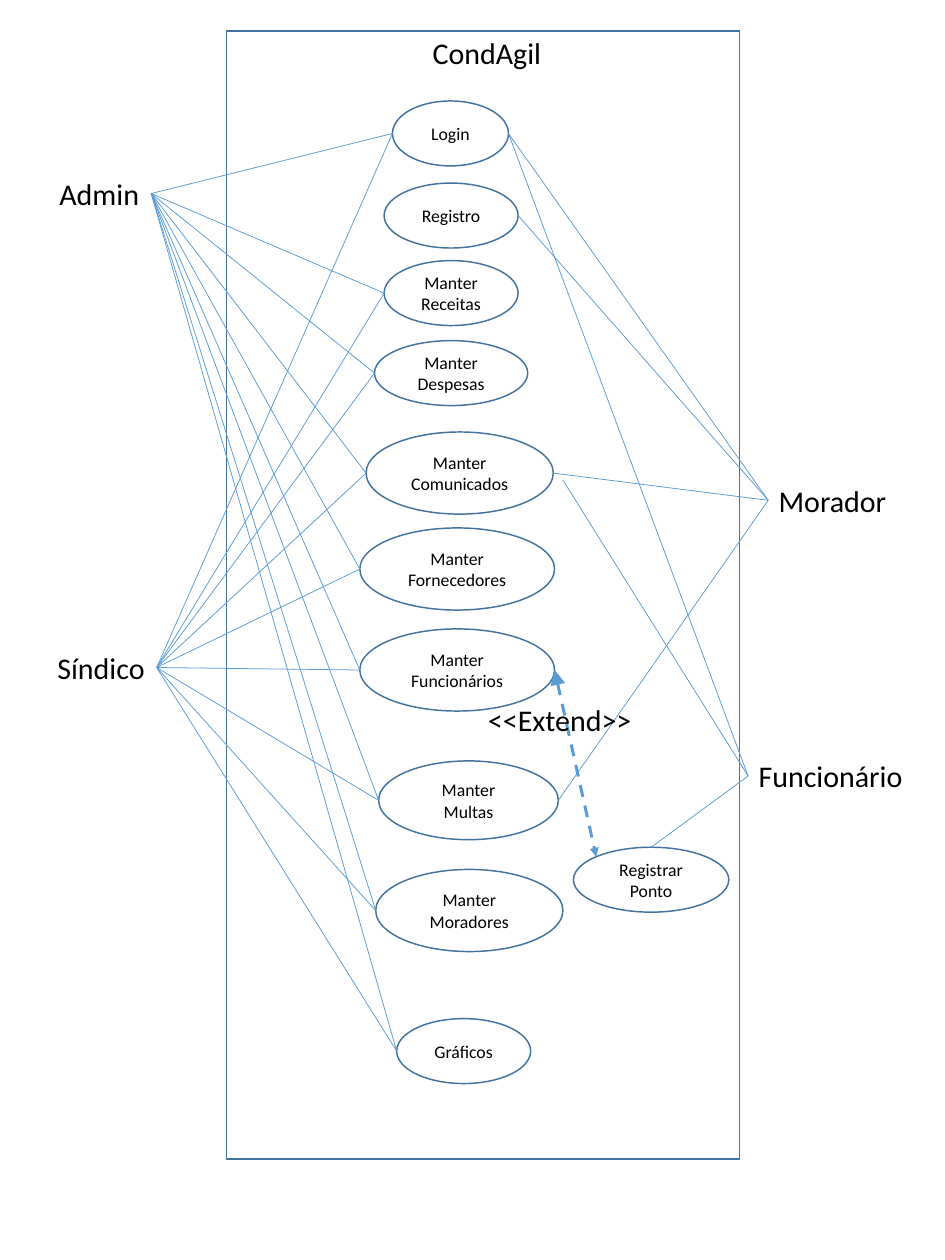
import math

import pptx
import pptx.dml.color
import pptx.enum.dml
import pptx.enum.shapes
import pptx.enum.text
import pptx.oxml.ns
import pptx.util
from lxml import etree

Cm, Pt = pptx.util.Cm, pptx.util.Pt
ALIGN = pptx.enum.text.PP_ALIGN
SHAPE = pptx.enum.shapes.MSO_SHAPE
qn = pptx.oxml.ns.qn


def rgb(value):
    return pptx.dml.color.RGBColor.from_string(value)


def edge(shape, x, y):
    """Point of a shape's box, as fractions of its width and height."""
    return int(shape.left + shape.width * x), int(shape.top + shape.height * y)


class UseCaseDiagram:
    font = "Calibri"
    ink = "000000"
    outline = "43739E"
    link = "5B9BD5"

    def __init__(self, slide):
        self.shapes = slide.shapes

    def style_text(self, frame, size, align):
        paragraph = frame.paragraphs[0]
        paragraph.alignment = align
        for run in paragraph.runs:
            run.font.name = self.font
            run.font.size = Pt(size)
            run.font.color.rgb = rgb(self.ink)

    def outlined(self, kind, left, top, width, height):
        shape = self.shapes.add_shape(kind, Cm(left), Cm(top), Cm(width), Cm(height))
        shape.shadow.inherit = False
        shape.fill.background()
        shape.line.color.rgb = rgb(self.outline)
        shape.line.width = Pt(1)
        return shape

    def use_case(self, text, left, top, width, height):
        oval = self.outlined(SHAPE.OVAL, left, top, width, height)
        frame = oval.text_frame
        frame.text = text
        frame.word_wrap = True
        frame.vertical_anchor = pptx.enum.text.MSO_ANCHOR.MIDDLE
        frame.margin_left = frame.margin_right = Cm(0.41)
        frame.margin_top = frame.margin_bottom = Cm(0.2)
        self.style_text(frame, 12, ALIGN.CENTER)
        return oval

    def label(self, text, left, top, width):
        box = self.shapes.add_textbox(Cm(left), Cm(top), Cm(width), Cm(1.12))
        frame = box.text_frame
        frame.text = text
        frame.word_wrap = False
        frame.auto_size = pptx.enum.text.MSO_AUTO_SIZE.SHAPE_TO_FIT_TEXT
        self.style_text(frame, 20.3, ALIGN.LEFT)
        return box

    def connect(self, start, end, width=0.5):
        line = self.shapes.add_connector(
            pptx.enum.shapes.MSO_CONNECTOR.STRAIGHT, *start, *end)
        line.line.color.rgb = rgb(self.link)
        line.line.width = Pt(width)
        etree.SubElement(line._element.spPr, qn("a:effectLst"))
        return line

    def extend_arrow(self, start, end):
        """Dashed double arrow with the larger head at the start."""
        arrow = self.connect(start, end, 2)
        arrow.line.dash_style = pptx.enum.dml.MSO_LINE.DASH
        ln = arrow._element.spPr.find(qn("a:ln"))
        for tag, size in (("a:headEnd", "lg"), ("a:tailEnd", "med")):
            etree.SubElement(ln, qn(tag), type="triangle", w=size, len=size)


USE_CASES = [
    ("Login", 9.37, 2.41, 2.77, 1.55),
    ("Registro", 9.17, 4.37, 3.2, 1.55),
    ("Manter Receitas", 9.17, 6.22, 3.2, 1.55),
    ("Manter Despesas", 8.94, 8.13, 3.66, 1.55),
    ("Manter Comunicados", 8.74, 10.31, 4.47, 1.96),
    ("Manter Fornecedores", 8.59, 12.6, 4.65, 1.96),
    ("Manter Funcionários", 8.59, 15.01, 4.65, 1.96),
    ("Manter Multas", 9.04, 18.16, 4.29, 1.88),
    ("Manter Moradores", 8.97, 20.75, 4.47, 1.96),
    ("Gráficos", 9.47, 24.31, 3.2, 1.55),
    ("Registrar Ponto", 13.69, 20.22, 3.71, 1.55),
]
MANAGERS = [("Admin", 1.17, 4.06, 2.44), ("Síndico", 1.12, 15.37, 2.62)]
MORADOR_CASES = ["Login", "Registro", "Manter Comunicados", "Manter Multas"]


def main():
    prs = pptx.Presentation()
    prs.slide_width, prs.slide_height = Cm(22.56), Cm(30.07)
    diagram = UseCaseDiagram(prs.slides.add_slide(prs.slide_layouts[6]))

    diagram.outlined(SHAPE.RECTANGLE, 5.41, 0.74, 12.24, 26.92)
    cases = {case[0]: diagram.use_case(*case) for case in USE_CASES}
    ponto = cases["Registrar Ponto"]

    for manager in MANAGERS:
        hub = edge(diagram.label(*manager), 1, 0.5)
        for name, oval in cases.items():
            if name not in ("Registro", "Registrar Ponto"):
                diagram.connect(hub, edge(oval, 0, 0.5))

    morador = edge(diagram.label("Morador", 18.34, 11.38, 3.12), 0, 0.5)
    for name in MORADOR_CASES:
        diagram.connect(morador, edge(cases[name], 1, 0.5))

    funcionario = edge(diagram.label("Funcionário", 17.86, 17.96, 3.99), 0, 0.5)
    comunicados_end = Cm(13.44), Cm(11.46)
    for end in (edge(cases["Login"], 1, 0.5), comunicados_end, edge(ponto, 0.5, 0)):
        diagram.connect(funcionario, end)

    diagonal = (1 - math.sqrt(0.5)) / 2
    diagram.extend_arrow(edge(cases["Manter Funcionários"], 1, 0.5),
                         edge(ponto, diagonal, diagonal))
    diagram.label("<<Extend>>", 11.4, 16.61, 3.99)
    diagram.label("CondAgil", 10.08, 0.69, 3.12)
    prs.save("out.pptx")


if __name__ == "__main__":
    main()
